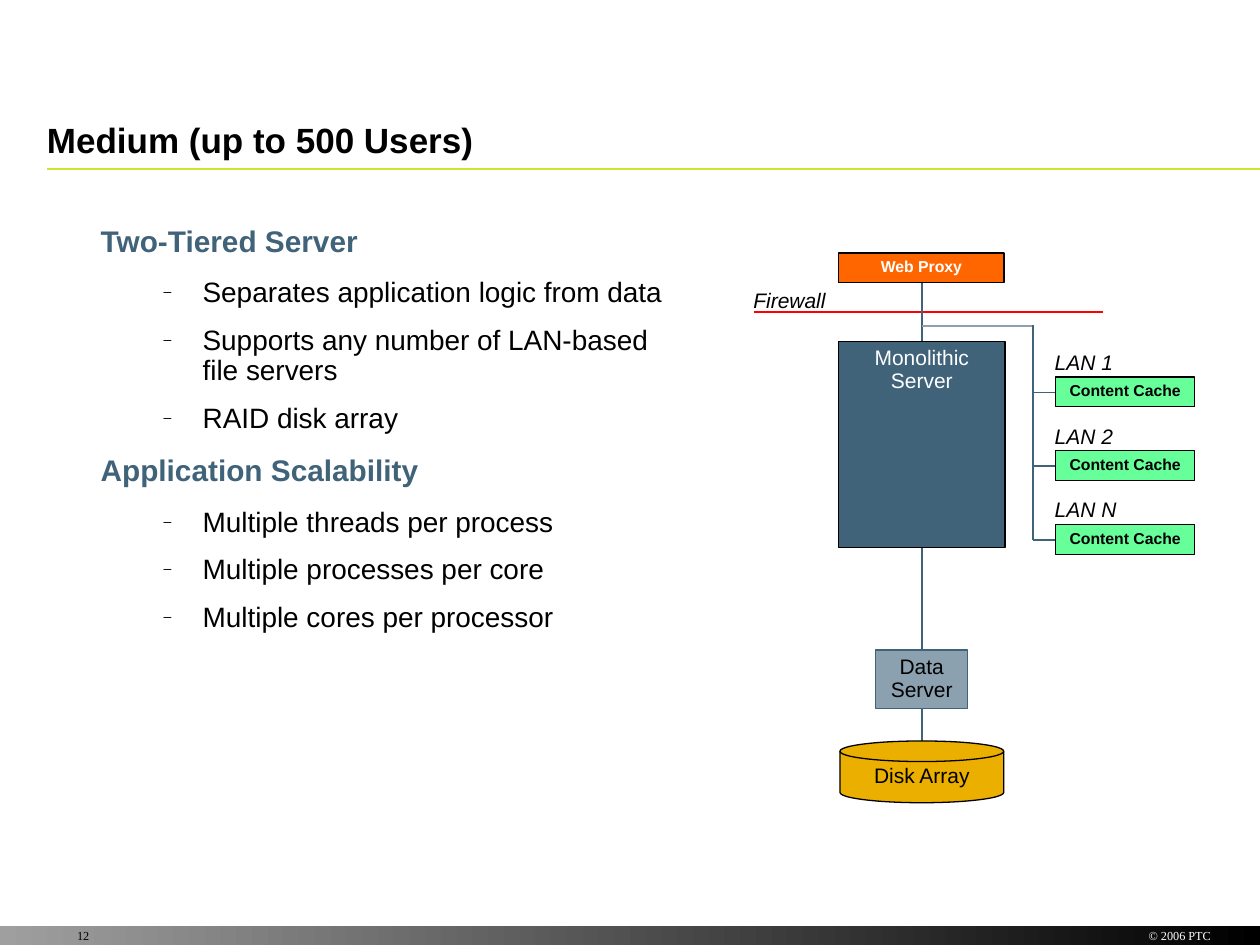
from lxml import etree
from pptx import Presentation
from pptx.dml.color import RGBColor
from pptx.enum.shapes import MSO_CONNECTOR, MSO_SHAPE
from pptx.enum.text import MSO_ANCHOR, PP_ALIGN
from pptx.oxml.ns import qn
from pptx.util import Pt

STRAIGHT = MSO_CONNECTOR.STRAIGHT
RECTANGLE = MSO_SHAPE.RECTANGLE
DISK = MSO_SHAPE.FLOWCHART_MAGNETIC_DISK
LEFT, CENTER, RIGHT = PP_ALIGN.LEFT, PP_ALIGN.CENTER, PP_ALIGN.RIGHT
TOP, MIDDLE, BOTTOM = MSO_ANCHOR.TOP, MSO_ANCHOR.MIDDLE, MSO_ANCHOR.BOTTOM

COLORS = {
    "black": "000000", "white": "FFFFFF", "grey": "9F9F9F", "lime": "CDE62D",
    "red": "FF0000", "slate": "40637A", "mist": "8BA1AF", "gold": "EBAF00",
    "orange": "FF6600", "green": "66FF99",
}


def add_line(x1, y1, x2, y2, color, width=1):
    line = slide.shapes.add_connector(STRAIGHT, Pt(x1), Pt(y1), Pt(x2), Pt(y2))
    line.line.color.rgb = RGBColor.from_string(COLORS[color])
    line.line.width = Pt(width)
    etree.SubElement(line._element.spPr, qn("a:effectLst"))


def write(shape, text, size, color="black", align=LEFT, anchor=TOP, bold=False,
          italic=False, font="Arial", inset=(7.2, 3.6), wrap=True, spacing=0.9):
    """Put one formatted paragraph in the shape and return the paragraph."""
    frame = shape.text_frame
    frame.word_wrap = wrap
    frame.vertical_anchor = anchor
    frame.margin_left = frame.margin_right = Pt(inset[0])
    frame.margin_top = frame.margin_bottom = Pt(inset[1])
    paragraph = frame.paragraphs[0]
    if paragraph.runs:
        paragraph = frame.add_paragraph()
    paragraph.alignment = align
    paragraph.line_spacing = spacing
    run = paragraph.add_run()
    run.text = text
    run.font.name = font
    run.font.size = Pt(size)
    run.font.bold = bold
    run.font.italic = italic
    run.font.color.rgb = RGBColor.from_string(COLORS[color])
    return paragraph


presentation = Presentation()
presentation.slide_width, presentation.slide_height = Pt(720), Pt(540)
slide = presentation.slides.add_slide(presentation.slide_layouts[6])

# Footer band, title rule and title
band = slide.shapes.add_shape(RECTANGLE, Pt(0), Pt(529.2), Pt(720), Pt(10.8))
band.shadow.inherit = False
band.line.fill.background()
band.fill.gradient()
band.fill.gradient_angle = 180
for stop, color in zip(band.fill.gradient_stops, ("black", "grey")):
    stop.color.rgb = RGBColor.from_string(COLORS[color])

add_line(26.8, 96.5, 720, 96.5, "lime")
title = slide.shapes.add_textbox(Pt(26.8), Pt(61.2), Pt(665), Pt(30.4))
write(title, "Medium (up to 500 Users)", 20, bold=True, anchor=BOTTOM,
      inset=(0, 0), spacing=1)

# Outline text
outline = [
    ("Two-Tiered Server", [
        "Separates application logic from data",
        "Supports any number of LAN-based file servers",
        "RAID disk array"]),
    ("Application Scalability", [
        "Multiple threads per process",
        "Multiple processes per core",
        "Multiple cores per processor"]),
]
body = slide.shapes.add_textbox(Pt(50.4), Pt(126), Pt(346.3), Pt(353.5))
for number, (heading, points) in enumerate(outline):
    paragraph = write(body, heading, 17, "slate", bold=True)
    paragraph.space_before = Pt(8.5 if number else 0)
    paragraph.space_after = Pt(5.2)
    for point in points:
        paragraph = write(body, point, 16)
        paragraph.level = 1
        paragraph.space_before, paragraph.space_after = Pt(6), Pt(4)
        properties = paragraph._p.get_or_add_pPr()
        properties.set("marL", str(Pt(58.3)))
        properties.set("indent", str(Pt(-22.3)))
        bullet_color = etree.SubElement(properties, qn("a:buClr"))
        etree.SubElement(bullet_color, qn("a:srgbClr"), val=COLORS["black"])
        etree.SubElement(properties, qn("a:buSzPct"), val="50000")
        etree.SubElement(properties, qn("a:buFont"), typeface="Arial")
        etree.SubElement(properties, qn("a:buChar"), char="–")

# Diagram lines
server_x, bus_x = 527, 590.3
cache_tops = [215.4, 257.5, 299.6]
add_line(430.6, 178.4, 630, 178.4, "red", 1.5)
add_line(server_x, 152.6, server_x, 430.6, "slate")
add_line(server_x, 186.3, bus_x, 186.3, "mist")
add_line(bus_x, 185.8, bus_x, 308.6, "slate")
for top in cache_tops:
    add_line(bus_x, top + 8.9, 638, top + 8.9, "slate")

# Diagram boxes: kind, left, top, width, height, fill, line, text, size, color, bold, anchor
boxes = [
    (DISK, 480, 423.4, 93.6, 35.3, "gold", "black", "Disk Array", 12, "black", False, MIDDLE),
    (RECTANGLE, 479.2, 144.5, 94.6, 17.1, "orange", "black", "Web Proxy", 9, "white", True, TOP),
    (RECTANGLE, 479.2, 195, 95.2, 117.8, "slate", "black", "Monolithic Server", 12, "white", False, TOP),
    (RECTANGLE, 500.4, 371.5, 52.6, 33.2, "mist", "slate", "Data Server", 12, "black", False, TOP),
]
boxes += [(RECTANGLE, 603.2, top, 79.4, 17.1, "green", "black", "Content Cache", 9, "black", True, TOP)
          for top in cache_tops]
for kind, left, top, width, height, fill, line, text, size, color, bold, anchor in boxes:
    box = slide.shapes.add_shape(kind, Pt(left), Pt(top), Pt(width), Pt(height))
    box.shadow.inherit = False
    box.fill.solid()
    box.fill.fore_color.rgb = RGBColor.from_string(COLORS[fill])
    box.line.color.rgb = RGBColor.from_string(COLORS[line])
    box.line.width = Pt(0.75)
    write(box, text, size, color, CENTER, anchor, bold, wrap=kind != DISK)

# Diagram labels, with room for each to stay on one line
labels = [("Firewall", 423.4, 162.4)]
labels += [(name, 595.6, top - 17.6)
           for name, top in zip(("LAN 1", "LAN 2", "LAN N"), cache_tops)]
for text, left, top in labels:
    label = slide.shapes.add_textbox(Pt(left), Pt(top), Pt(60), Pt(20.2))
    write(label, text, 12, italic=True)

# Footer text
for text, left, width, color, align, indent in [
        ("© 2006 PTC", 645.8, 46.1, "white", RIGHT, 0),
        ("12", 26.8, 35.3, "black", LEFT, 17.3)]:
    footer = slide.shapes.add_textbox(Pt(left), Pt(530.6), Pt(width), Pt(8.6))
    write(footer, text, 7, color, align, font="Times New Roman",
          inset=(0, 0), spacing=1)
    footer.text_frame.margin_left = Pt(indent)

presentation.save("out.pptx")
